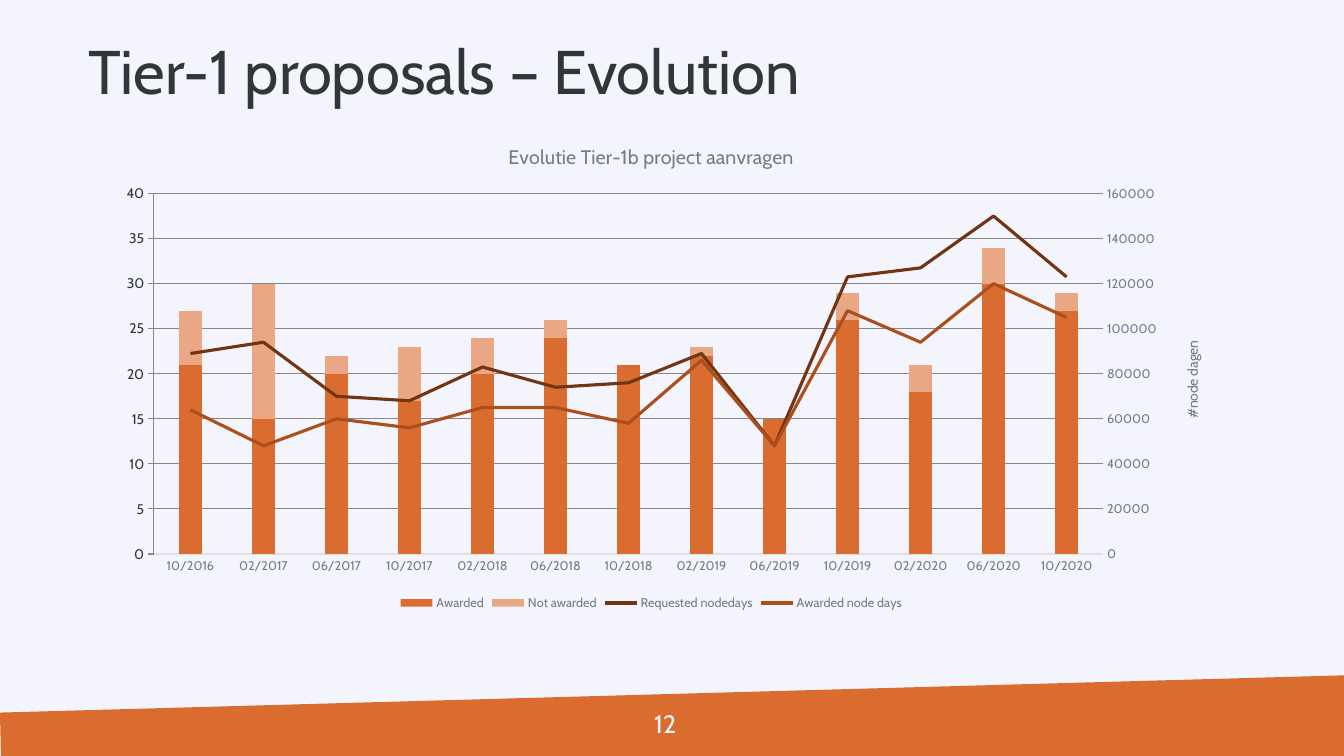
from copy import deepcopy
from dataclasses import dataclass

from pptx import Presentation
from pptx import util as u
from pptx.chart import axis as chart_axis
from pptx.chart import data as chart_data
from pptx.dml import color
from pptx.enum import chart as chart_enum
from pptx.enum import text
from pptx.oxml import parse_xml
from pptx.oxml import ns


@dataclass(frozen=True)
class Theme:
    font: str = "Cabin"
    background: str = "F4F5FC"
    ink: str = "333639"
    muted: str = "757C83"
    rule: str = "DFE1E3"
    orange: str = "DB6C30"
    light_orange: str = "E9A783"
    dark_brown: str = "723514"
    brown: str = "AB4F1E"
    title_size: int = 44
    number_size: int = 18
    chart_title_size: int = 14
    axis_title_size: int = 10
    label_size: int = 9


THEME = Theme()

PERIODS = ["10/2016", "02/2017", "06/2017", "10/2017", "02/2018", "06/2018", "10/2018",
           "02/2019", "06/2019", "10/2019", "02/2020", "06/2020", "10/2020"]
PROJECTS = [
    ("Awarded", THEME.orange, [21, 15, 20, 17, 20, 24, 21, 22, 15, 26, 18, 30, 27]),
    ("Not awarded", THEME.light_orange, [6, 15, 2, 6, 4, 2, 0, 1, 0, 3, 3, 4, 2]),
]
NODE_DAYS = [
    ("Requested nodedays", THEME.dark_brown,
     [89000, 94000, 70000, 68000, 83000, 74000, 76000,
      89000, 48000, 123000, 127000, 150000, 123000]),
    ("Awarded node days", THEME.brown,
     [64000, 48000, 60000, 56000, 65000, 65000, 58000,
      86000, 48000, 108000, 94000, 120000, 105000]),
]


def rgb(value):
    return color.RGBColor.from_string(value)


def set_font(font, size, font_color):
    font.name = THEME.font
    font.size = u.Pt(size)
    font.bold = False
    font.color.rgb = rgb(font_color)


def box_lengths(box):
    return [u.Inches(length) for length in box]


def add_text(slide, box, content, size, font_color, anchor, line_spacing=1.0):
    frame = slide.shapes.add_textbox(*box_lengths(box)).text_frame
    frame.word_wrap = True
    frame.vertical_anchor = anchor
    paragraph = frame.paragraphs[0]
    paragraph.text = content
    paragraph.line_spacing = line_spacing
    set_font(paragraph.font, size, font_color)


def add_footer(slide, box, number):
    """Slanted band with the slide number on it."""
    left, top, width, height = box
    slant = 0.37
    builder = slide.shapes.build_freeform(
        u.Inches(left), u.Inches(top + slant))
    corners = [(left + width, top), (left + width, top + height),
               (left + 0.01, top + height)]
    builder.add_line_segments([(u.Inches(x), u.Inches(y)) for x, y in corners], close=True)
    band = builder.convert_to_shape()
    band.shadow.inherit = False
    band.fill.solid()
    band.fill.fore_color.rgb = rgb(THEME.orange)
    band.line.fill.background()
    add_text(slide, (left + 6.39, top + 0.28, 0.55, 0.4), number,
             THEME.number_size, THEME.background, text.MSO_ANCHOR.TOP)


def format_value_axis(axis, title, maximum, step):
    axis.minimum_scale, axis.maximum_scale, axis.major_unit = 0, maximum, step
    axis.major_tick_mark = chart_enum.XL_TICK_MARK.NONE
    axis.format.line.fill.background()
    set_font(axis.tick_labels.font, THEME.label_size, THEME.muted)
    frame = axis.axis_title.text_frame
    frame.text = title
    set_font(frame.paragraphs[0].font, THEME.axis_title_size, THEME.muted)
    for body in axis.axis_title._element.xpath(".//a:bodyPr"):
        body.set("rot", "-5400000")
        body.set("vert", "horz")


def move_to_right_axis(chart, first_moved):
    """Turn the later series into lines and return their own value axis."""
    plot_area = chart.value_axis._element.getparent()
    bars = plot_area.xpath("c:barChart")[0]
    lines = parse_xml(
        f'<c:lineChart {ns.nsdecls("c")}><c:grouping val="standard"/><c:varyColors val="0"/>'
        '<c:marker val="1"/><c:axId val="5001"/><c:axId val="5002"/></c:lineChart>')
    marker = lines.xpath("c:marker")[0]
    for series in bars.xpath("c:ser")[first_moved:]:
        for unused in series.xpath("c:invertIfNegative"):
            series.remove(unused)
        marker.addprevious(series)
    bars.addnext(lines)

    # Second pair of axes, with the category axis hidden
    right = deepcopy(chart.value_axis._element)
    hidden = deepcopy(chart.category_axis._element)
    for element, own, other in ((hidden, "5001", "5002"), (right, "5002", "5001")):
        element.xpath("c:axId")[0].set("val", own)
        element.xpath("c:crossAx")[0].set("val", other)
    hidden.xpath("c:delete")[0].set("val", "1")
    right.xpath("c:axPos")[0].set("val", "r")
    right.xpath("c:crosses")[0].set("val", "max")
    chart.value_axis._element.addnext(right)
    right.addnext(hidden)
    return chart_axis.ValueAxis(right)


def set_plot_layout(chart, **fractions):
    plot_area = chart.value_axis._element.getparent()
    for old_layout in plot_area.xpath("c:layout"):
        plot_area.remove(old_layout)
    sizes = "".join(f'<c:{key} val="{value}"/>' for key, value in fractions.items())
    plot_area.insert(0, parse_xml(
        f'<c:layout {ns.nsdecls("c")}><c:manualLayout><c:layoutTarget val="inner"/>'
        f'<c:xMode val="edge"/><c:yMode val="edge"/>{sizes}</c:manualLayout></c:layout>'))


def add_evolution_chart(slide, box):
    """Stacked project counts with node days as lines on the right axis."""
    data = chart_data.CategoryChartData()
    data.categories = PERIODS
    for name, _, values in PROJECTS + NODE_DAYS:
        data.add_series(name, values)
    chart = slide.shapes.add_chart(
        chart_enum.XL_CHART_TYPE.COLUMN_STACKED, *box_lengths(box), data).chart
    set_font(chart.font, THEME.axis_title_size, THEME.ink)

    # Title and legend
    chart.has_title = True
    title_frame = chart.chart_title.text_frame
    title_frame.text = "Evolutie Tier-1b project aanvragen"
    set_font(title_frame.paragraphs[0].font, THEME.chart_title_size, THEME.muted)
    chart.chart_title.include_in_layout = False
    chart.has_legend = True
    chart.legend.position = chart_enum.XL_LEGEND_POSITION.BOTTOM
    chart.legend.include_in_layout = False
    set_font(chart.legend.font, THEME.label_size, THEME.muted)

    # Axes
    right_axis = move_to_right_axis(chart, len(PROJECTS))
    right_axis.has_major_gridlines = False
    format_value_axis(chart.value_axis, "# projecten", 40, 5)
    format_value_axis(right_axis, "#node dagen", 160000, 20000)
    chart.value_axis.has_major_gridlines = True
    periods_axis = chart.category_axis
    periods_axis.major_tick_mark = chart_enum.XL_TICK_MARK.NONE
    set_font(periods_axis.tick_labels.font, THEME.label_size, THEME.muted)
    for line in (periods_axis.format.line, chart.value_axis.major_gridlines.format.line):
        line.color.rgb = rgb(THEME.rule)
        line.width = u.Pt(0.75)
    set_plot_layout(chart, x=0.074, y=0.14, w=0.813, h=0.736)

    # Series
    bar_plot, line_plot = chart.plots
    bar_plot.gap_width, bar_plot.overlap = 219, 100
    bar_plot.vary_by_categories = False
    for series, (_, fill, _) in zip(bar_plot.series, PROJECTS):
        series.format.fill.solid()
        series.format.fill.fore_color.rgb = rgb(fill)
    for series, (_, stroke, _) in zip(line_plot.series, NODE_DAYS):
        series.smooth = False
        series.marker.style = chart_enum.XL_MARKER_STYLE.NONE
        series.format.line.color.rgb = rgb(stroke)
        series.format.line.width = u.Pt(2.25)


def main():
    presentation = Presentation()
    presentation.slide_width, presentation.slide_height = u.Inches(13.33), u.Inches(7.5)
    slide = presentation.slides.add_slide(presentation.slide_layouts[6])
    slide.background.fill.solid()
    slide.background.fill.fore_color.rgb = rgb(THEME.background)
    add_footer(slide, (0, 6.7, 13.33, 0.8), "12")
    add_text(slide, (0.78, 0.01, 11.5, 1.45), "Tier-1 proposals – Evolution",
             THEME.title_size, THEME.ink, text.MSO_ANCHOR.MIDDLE, 0.9)
    add_evolution_chart(slide, (0.67, 1.24, 11.58, 4.86))
    presentation.save("out.pptx")


if __name__ == "__main__":
    main()
